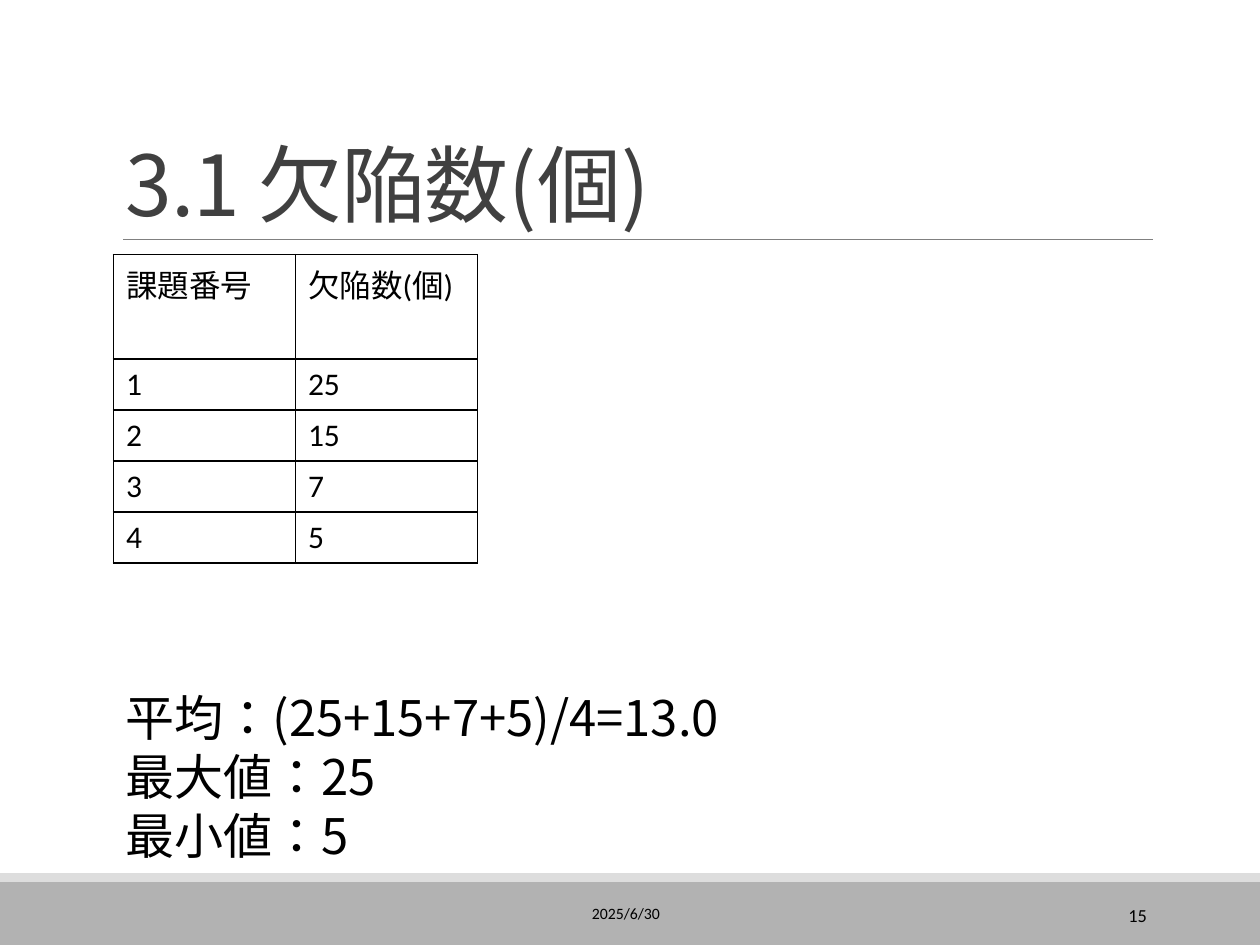
from lxml.etree import SubElement
from pptx import Presentation
from pptx.dml.color import RGBColor
from pptx.enum.lang import MSO_LANGUAGE_ID as LANG
from pptx.enum.shapes import MSO_CONNECTOR as CONN, MSO_SHAPE as SHAPE
from pptx.enum.text import MSO_ANCHOR as ANCHOR, PP_ALIGN as ALIGN
from pptx.oxml.ns import qn
from pptx.util import Inches, Pt

LATIN, CJK = "Calibri", "Noto Sans CJK JP"
ROWS = [("課題番号", "欠陥数(個)"), ("1", "25"), ("2", "15"), ("3", "7"), ("4", "5")]
SUMMARY = ["平均：(25+15+7+5)/4=13.0", "最大値：25", "最小値：5"]
HEADER_HEIGHT = 0.83


def rgb(color):
    return RGBColor.from_string(color)


def set_font(p, size, name, color="000000", spacing=None):
    """Style a paragraph of Japanese text; spacing is in points."""
    p.font.size = Pt(size)
    p.font.color.rgb = rgb(color)
    p.font.name = name
    props = p._p.pPr.find(qn("a:defRPr"))
    SubElement(props, qn("a:ea"), typeface=CJK)
    if spacing is not None:
        props.set("spc", str(round(spacing * 100)))
    for r in p.runs:
        r.font.language_id = LANG.JAPANESE


def add_text(slide, box, lines, size, name, color="000000", anchor=ANCHOR.TOP,
             align=ALIGN.LEFT, wrap=True, line_spacing=None, spacing=None):
    tf = slide.shapes.add_textbox(*map(Inches, box)).text_frame
    tf.word_wrap = wrap
    tf.vertical_anchor = anchor
    for i, line in enumerate(lines):
        p = tf.paragraphs[0] if i == 0 else tf.add_paragraph()
        p.text = line
        p.alignment = align
        if line_spacing:
            p.line_spacing = line_spacing
        set_font(p, size, name, color, spacing)


def add_band(slide, box, color):
    sp = slide.shapes.add_shape(SHAPE.RECTANGLE, *map(Inches, box))
    sp.shadow.inherit = False
    sp.fill.solid()
    sp.fill.fore_color.rgb = rgb(color)
    sp.line.fill.background()


def add_title(slide, box, text):
    left, top, width, height = box
    bottom = top + height
    rule = slide.shapes.add_connector(
        CONN.STRAIGHT, Inches(left + 0.08), Inches(bottom),
        Inches(left + width), Inches(bottom))
    rule.line.color.rgb = rgb("808080")
    rule.line.width = Pt(0.5)
    SubElement(rule._element.spPr, qn("a:effectLst"))
    add_text(slide, box, [text], 48, CJK, "404040", ANCHOR.BOTTOM,
             line_spacing=0.85, spacing=-0.5)


def set_borders(cell, color="000000", width=1):
    props = cell._tc.get_or_add_tcPr()
    for i, side in enumerate(("lnL", "lnR", "lnT", "lnB")):
        ln = SubElement(props, qn(f"a:{side}"), w=str(Pt(width)))
        props.remove(ln)
        props.insert(i, ln)  # borders come before the fill
        fill = SubElement(ln, qn("a:solidFill"))
        SubElement(fill, qn("a:srgbClr"), val=color)


def add_defect_table(slide, box, rows):
    """The header row is tall enough for two lines; the others share the rest."""
    table = slide.shapes.add_table(len(rows), len(rows[0]), *map(Inches, box)).table
    table.first_row = table.horz_banding = False
    row_height = (box[3] - HEADER_HEIGHT) / (len(rows) - 1)
    for r, row in enumerate(rows):
        table.rows[r].height = Inches(row_height if r else HEADER_HEIGHT)
        for c, text in enumerate(row):
            cell = table.cell(r, c)
            cell.text = text
            cell.fill.background()
            set_borders(cell)
            set_font(cell.text_frame.paragraphs[0], 18, LATIN)


def add_footer(slide, box, date, number):
    left, top, width, height = box
    add_band(slide, box, "B2B2B2")
    add_band(slide, (left, top - 0.07, width, 0.07), "DDDDDD")
    add_text(slide, (left + 4.6, top + 0.05, 2.03, 0.4), [date], 9, LATIN,
             anchor=ANCHOR.MIDDLE)
    add_text(slide, (left + 8.12, top + 0.06, 1.08, 0.4), [number], 10.5, LATIN,
             anchor=ANCHOR.MIDDLE, align=ALIGN.RIGHT)


def main():
    prs = Presentation()
    prs.slide_width, prs.slide_height = Inches(10), Inches(7.5)
    slide = prs.slides.add_slide(prs.slide_layouts[6])
    add_footer(slide, (0, 7, 10, 0.5), "2025/6/30", "15")
    add_title(slide, (0.9, 0.31, 8.25, 1.59), "3.1 欠陥数(個)")
    add_defect_table(slide, (0.9, 2.02, 2.89, 2.45), ROWS)
    add_text(slide, (0.9, 5.41, 5.65, 1.51), SUMMARY, 28, CJK, wrap=False)
    prs.save("out.pptx")


if __name__ == "__main__":
    main()
